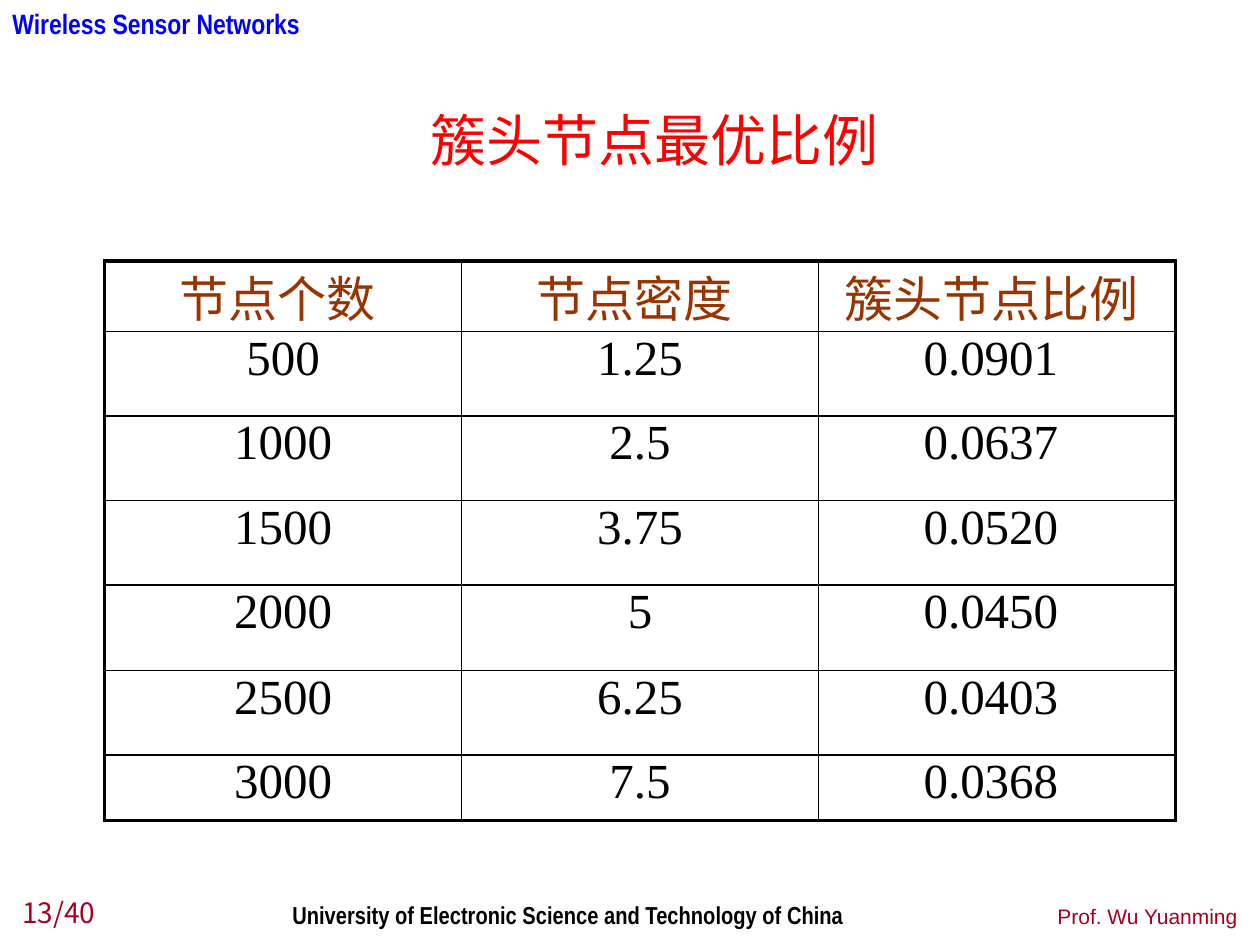
from lxml import etree
from pptx import Presentation
from pptx.dml.color import RGBColor
from pptx.enum import text
from pptx.oxml import ns
from pptx.util import Inches, Pt

COLORS = {"black": "000000", "blue": "0000FF", "red": "FF0000",
          "brown": "993300", "crimson": "A50021"}
LEFT, CENTER, RIGHT = text.PP_ALIGN.LEFT, text.PP_ALIGN.CENTER, text.PP_ALIGN.RIGHT
TOP, BOTTOM = text.MSO_ANCHOR.TOP, text.MSO_ANCHOR.BOTTOM
PADDED = (0.1, 0.05)
FLUSH = (0, 0)

# words, place, (size, font, color, bold), alignment, anchor, insets, wrap
LABELS = [
    ("University of Electronic Science and Technology of China", (2.32, 7.14, 4.57, 0.23),
     (14, "Arial Narrow", "black", True), LEFT, TOP, FLUSH, True),
    ("Wireless Sensor Networks", (0, 0, 2.48, 0.37),
     (16, "Arial Narrow", "blue", True), LEFT, TOP, PADDED, False),
    ("13/40", (0.08, 7.03, 1.06, 0.39),
     (16, "Noto Sans CJK JP", "crimson", False), LEFT, BOTTOM, PADDED, True),
    ("Prof. Wu Yuanming", (8.07, 7.06, 1.85, 0.36),
     (12, "Arial", "crimson", False), RIGHT, BOTTOM, PADDED, True),
    ("簇头节点最优比例", (3.28, 0.84, 3.83, 0.54),
     (32, "Times New Roman", "red", False), CENTER, TOP, FLUSH, True),
]

ROWS = [
    ("节点个数 ", "节点密度 ", "簇头节点比例 "),
    ("500", "1.25", "0.0901 "),
    ("1000", "2.5", "0.0637 "),
    ("1500", "3.75", "0.0520 "),
    ("2000", "5", "0.0450 "),
    ("2500", "6.25", "0.0403 "),
    ("3000", "7.5", "0.0368 "),
]
TABLE_PLACE = (0.83, 2.07, 8.5, 4.27)
ROW_HEIGHTS = [0.53, 0.67, 0.67, 0.67, 0.68, 0.67, 0.52]
OUTER_LINE, INNER_LINE = 2.25, 1


def write(para, words, style, align):
    size, font, color, bold = style
    para.alignment = align
    span = para.add_run()
    span.text = words
    for name, value in {"size": Pt(size), "name": font, "bold": bold}.items():
        setattr(span.font, name, value)
    span.font.color.rgb = RGBColor.from_string(COLORS[color])


def set_margins(holder, insets):
    """Apply (horizontal, vertical) insets to a text frame or a cell."""
    across, down = map(Inches, insets)
    for side, value in {"left": across, "right": across, "top": down, "bottom": down}.items():
        setattr(holder, f"margin_{side}", value)


def set_borders(cell, widths):
    """Draw black borders; widths maps L, R, T, B to points."""
    props = cell._tc.get_or_add_tcPr()
    for index, (side, width) in enumerate(widths.items()):
        line = etree.Element(ns.qn(f"a:ln{side}"), w=str(Pt(width)))
        fill = etree.SubElement(line, ns.qn("a:solidFill"))
        etree.SubElement(fill, ns.qn("a:srgbClr"), val=COLORS["black"])
        props.insert(index, line)


def add_label(page, words, place, style, align, anchor, insets, wrap):
    frame = page.shapes.add_textbox(*map(Inches, place)).text_frame
    set_margins(frame, insets)
    frame.word_wrap = wrap
    frame.vertical_anchor = anchor
    write(frame.paragraphs[0], words, style, align)


def add_ratio_table(page):
    row_count, column_count = len(ROWS), len(ROWS[0])
    table = page.shapes.add_table(row_count, column_count, *map(Inches, TABLE_PLACE)).table
    table.first_row = table.horz_banding = False
    for row, height in zip(table.rows, ROW_HEIGHTS):
        row.height = Inches(height)
    for column in table.columns:
        column.width = Inches(TABLE_PLACE[2] / column_count)
    for r, values in enumerate(ROWS):
        for c, value in enumerate(values):
            cell = table.cell(r, c)
            set_margins(cell, FLUSH)
            cell.fill.background()
            color = "black" if r else "brown"
            write(cell.text_frame.paragraphs[0], value,
                  (28, "Times New Roman", color, False), CENTER)
            on_edge = {"L": c == 0, "R": c == column_count - 1,
                       "T": r == 0, "B": r == row_count - 1}
            set_borders(cell, {side: OUTER_LINE if edge else INNER_LINE
                               for side, edge in on_edge.items()})


def main():
    deck = Presentation()
    deck.slide_width, deck.slide_height = Inches(10), Inches(7.5)
    page = deck.slides.add_slide(deck.slide_layouts[6])
    add_ratio_table(page)
    for label in LABELS:
        add_label(page, *label)
    deck.save("out.pptx")


if __name__ == "__main__":
    main()
